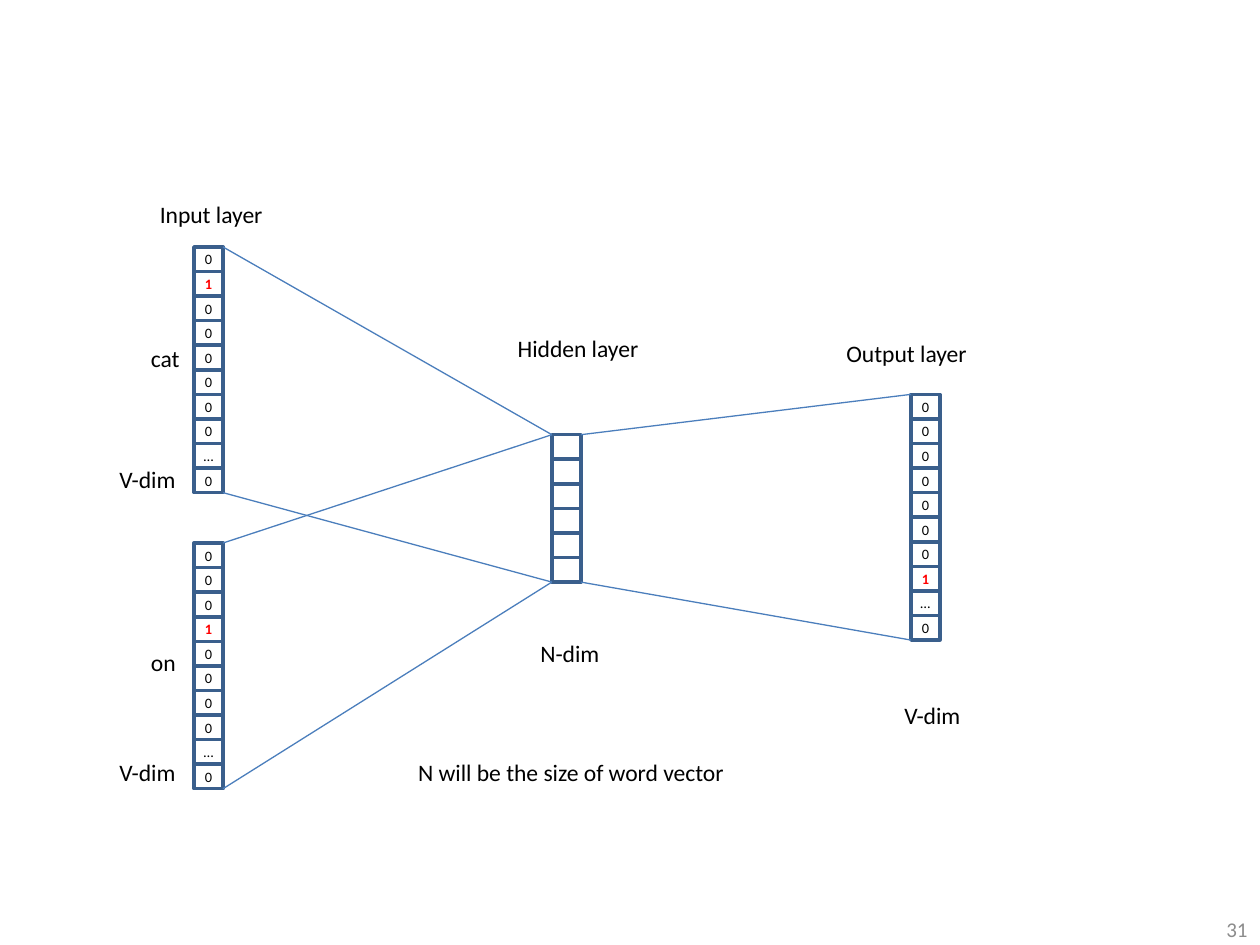
"""Build a slide of a word-vector network with two input words, a hidden and an output layer."""
from dataclasses import dataclass

import pptx
import pptx.dml.color
import pptx.enum.shapes
import pptx.enum.text
import pptx.oxml.ns
import pptx.util
from lxml import etree

Inches = pptx.util.Inches
Align = pptx.enum.text.PP_ALIGN
Anchor = pptx.enum.text.MSO_ANCHOR
AutoSize = pptx.enum.text.MSO_AUTO_SIZE


@dataclass(frozen=True)
class Theme:
    font: str = "Calibri"
    text: str = "000000"
    active: str = "FF0000"
    muted: str = "8C8C8C"
    cell_border: str = "3A5F8C"
    connection: str = "4B7EBC"
    label_size: float = 13.5
    cell_size: float = 8.2
    number_size: float = 12
    cell_border_width: float = 2
    connection_width: float = 0.75


@dataclass(frozen=True)
class Layer:
    left: float
    top: float
    height: float
    values: tuple[str, ...]
    width: float = 0.23

    @property
    def right(self) -> float:
        return self.left + self.width

    @property
    def bottom(self) -> float:
        return self.top + self.height


@dataclass(frozen=True)
class Label:
    text: str
    left: float
    top: float
    width: float
    height: float = 0.33


THEME = Theme()

CAT = Layer(1.54, 1.96, 1.95, tuple("01000000…0"))
ON = Layer(1.54, 4.31, 1.95, tuple("00010000…0"))
HIDDEN = Layer(4.38, 3.45, 1.17, ("",) * 6)
OUTPUT = Layer(7.23, 3.13, 1.95, tuple("00000001…0"))
LAYERS = (CAT, ON, HIDDEN, OUTPUT)
CONNECTIONS = ((CAT, HIDDEN), (ON, HIDDEN), (HIDDEN, OUTPUT))

LABELS = (
    Label("Input layer", 1.17, 1.54, 1.03),
    Label("Hidden layer", 4.01, 2.6, 1.18),
    Label("Output layer", 6.62, 2.64, 1.17),
    Label("cat", 1.1, 2.68, 0.43),
    Label("on", 1.1, 5.09, 0.4),
    Label("V-dim", 0.85, 3.64, 0.66),
    Label("V-dim", 0.85, 5.97, 0.66),
    Label("N-dim", 4.19, 5.02, 0.68),
    Label("V-dim", 7.08, 5.51, 0.66),
    Label("N will be the size of word vector", 3.22, 5.97, 2.66),
)
SLIDE_NUMBER = Label("31", 7.67, 7.25, 2.33, 0.25)


def rgb(value: str) -> pptx.dml.color.RGBColor:
    """Return the colour for a hexadecimal value."""
    return pptx.dml.color.RGBColor.from_string(value)


def set_attributes(target: object, values: dict) -> None:
    """Set each named attribute on the target."""
    for name, value in values.items():
        setattr(target, name, value)


def write_text(shape, text: str, size: float, color: str, alignment, frame: dict, bold: bool = False) -> None:
    """Write one formatted paragraph into a shape."""
    set_attributes(shape.text_frame, frame)
    paragraph = shape.text_frame.paragraphs[0]
    paragraph.alignment = alignment
    run = paragraph.add_run()
    run.text = text
    set_attributes(run.font, {"name": THEME.font, "size": pptx.util.Pt(size), "bold": bold})
    run.font.color.rgb = rgb(color)


def draw_layer(slide, layer: Layer) -> None:
    """Draw a layer as a grouped column of equal cells."""
    group = slide.shapes.add_group_shape()
    cell_height = layer.height / len(layer.values)
    frame = {f"margin_{side}": 0 for side in ("left", "top", "right", "bottom")}
    frame |= {"word_wrap": False, "vertical_anchor": Anchor.MIDDLE}
    for index, value in enumerate(layer.values):
        cell = group.shapes.add_shape(
            pptx.enum.shapes.MSO_SHAPE.RECTANGLE,
            Inches(layer.left), Inches(layer.top + index * cell_height),
            Inches(layer.width), Inches(cell_height),
        )
        cell.shadow.inherit = False
        cell.fill.background()
        cell.line.color.rgb = rgb(THEME.cell_border)
        cell.line.width = pptx.util.Pt(THEME.cell_border_width)
        if value:
            active = value == "1"
            color = THEME.active if active else THEME.text
            write_text(cell, value, THEME.cell_size, color, Align.CENTER, frame, active)


def draw_connection(slide, source: Layer, target: Layer) -> None:
    """Join the facing top and bottom corners of two layers."""
    for start, end in ((source.top, target.top), (source.bottom, target.bottom)):
        connector = slide.shapes.add_connector(
            pptx.enum.shapes.MSO_CONNECTOR.STRAIGHT,
            Inches(source.right), Inches(start), Inches(target.left), Inches(end),
        )
        connector.line.color.rgb = rgb(THEME.connection)
        connector.line.width = pptx.util.Pt(THEME.connection_width)
        etree.SubElement(connector._element.spPr, pptx.oxml.ns.qn("a:effectLst"))


def draw_label(slide, label: Label, size: float, color: str, alignment, frame: dict) -> None:
    """Draw a label as a text box."""
    box = slide.shapes.add_textbox(*map(Inches, (label.left, label.top, label.width, label.height)))
    write_text(box, label.text, size, color, alignment, frame)


def main() -> None:
    """Build and save the slide."""
    presentation = pptx.Presentation()
    presentation.slide_width, presentation.slide_height = Inches(10), Inches(7.5)
    slide = presentation.slides.add_slide(presentation.slide_layouts[6])
    number_frame = {"word_wrap": True, "vertical_anchor": Anchor.MIDDLE}
    draw_label(slide, SLIDE_NUMBER, THEME.number_size, THEME.muted, Align.RIGHT, number_frame)
    for layer in LAYERS:
        draw_layer(slide, layer)
    for source, target in CONNECTIONS:
        draw_connection(slide, source, target)
    label_frame = {"word_wrap": False, "auto_size": AutoSize.SHAPE_TO_FIT_TEXT}
    for label in LABELS:
        draw_label(slide, label, THEME.label_size, THEME.text, Align.LEFT, label_frame)
    presentation.save("out.pptx")


if __name__ == "__main__":
    main()
